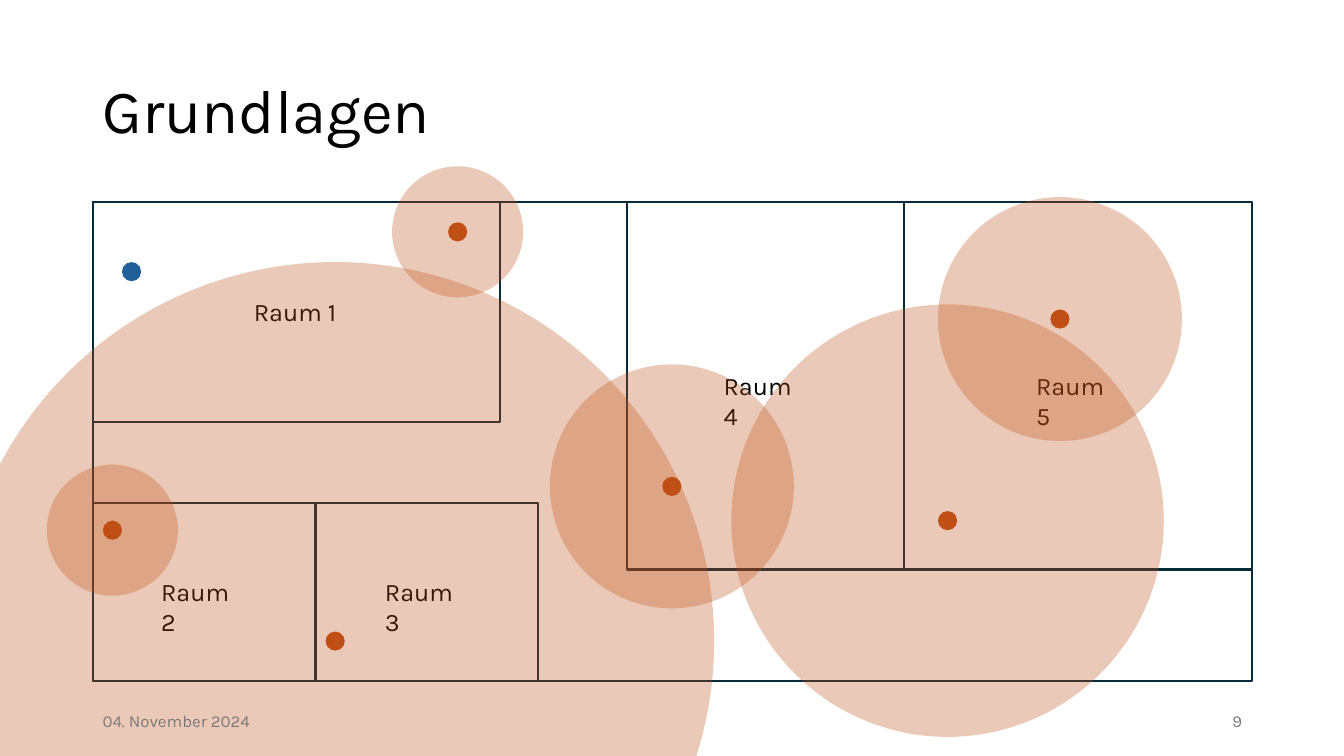
from dataclasses import dataclass, field
from typing import Any

import lxml.etree
import pptx
import pptx.dml.color
import pptx.enum.shapes
import pptx.enum.text
import pptx.oxml.ns
import pptx.util

COLS, ROWS = 133.33, 75
CELL = pptx.util.Inches(7.5) / ROWS
LEFT, TOP, RIGHT, BASE = 9.2, 20, 124.2, 67.6
INK, WALL, GREY = "000000", "092A39", "797979"
RUST, BLUE = "C04F15", "215F9A"
FONT = "Karla"
DOT = 0.95
KIND = pptx.enum.shapes.MSO_SHAPE
ALIGN = pptx.enum.text.PP_ALIGN
ANCHOR = pptx.enum.text.MSO_ANCHOR


@dataclass
class Room:
    """Edges of a room in grid columns and rows."""
    left: float
    top: float
    right: float
    base: float


@dataclass
class Label:
    text: str
    col: float
    row: float
    wide: float = 10.4
    high: float = 4
    size: float = 18
    tint: str = INK
    frame: dict[str, Any] = field(default_factory=dict)
    para: dict[str, Any] = field(default_factory=dict)


@dataclass
class Sender:
    """Centre and range of a sender."""
    col: float
    row: float
    reach: float


MID = {"vertical_anchor": ANCHOR.MIDDLE}
TITLE = Label("Grundlagen", LEFT, 4, 115, 14.5, 44, INK, MID, {"line_spacing": 0.9})
ROOMS = [
    Room(LEFT, TOP, RIGHT, BASE),
    Room(LEFT, TOP, 49.6, 41.9),
    Room(62.2, TOP, 89.7, 56.5),
    Room(89.7, TOP, RIGHT, 56.5),
    Room(LEFT, 49.9, 31.3, BASE),
    Room(31.3, 49.9, 53.4, BASE),
]
SPOTS = [(24.2, 28.9), (15, 56.7), (37.2, 56.7), (70.8, 36.2), (101.8, 36.2)]
LABELS = [Label(f"Raum {n}", col, row) for n, (col, row) in enumerate(SPOTS, 1)]
SENDERS = [
    Sender(94, 51.65, 21.45),
    Sender(66.65, 48.25, 12.1),
    Sender(45.4, 23, 6.5),
    Sender(33.25, 63.6, 37.6),
    Sender(11.15, 52.6, 6.5),
    Sender(105.15, 31.65, 12.1),
]
FOOTER = [
    Label("04. November 2024", LEFT, 69.5, 30, 4, 12, GREY, MID),
    Label("9", RIGHT - 30, 69.5, 30, 4, 12, GREY, MID, {"alignment": ALIGN.RIGHT}),
]


def grid(*cells: float) -> list[int]:
    return [round(cell * CELL) for cell in cells]


def shade(code: str) -> pptx.dml.color.RGBColor:
    return pptx.dml.color.RGBColor.from_string(code)


def apply(target: Any, values: dict[str, Any]) -> None:
    for name, value in values.items():
        setattr(target, name, value)


def write(shapes: Any, label: Label) -> None:
    box = shapes.add_textbox(*grid(label.col, label.row, label.wide, label.high))
    frame = box.text_frame
    apply(frame, {"word_wrap": True, **label.frame})
    para = frame.paragraphs[0]
    apply(para, label.para)
    run = para.add_run()
    run.text = label.text
    apply(run.font, {"name": FONT, "size": pptx.util.Pt(label.size)})
    run.font.color.rgb = shade(label.tint)


def build(shapes: Any, room: Room) -> None:
    box = shapes.add_shape(KIND.RECTANGLE, *grid(
        room.left, room.top, room.right - room.left, room.base - room.top))
    box.shadow.inherit = False
    box.fill.background()
    box.line.color.rgb = shade(WALL)
    box.line.width = pptx.util.Pt(1.5)


def disc(shapes: Any, col: float, row: float, reach: float,
         tint: str, alpha: int = 100) -> None:
    """Draw a filled circle around a centre; alpha is opacity in percent."""
    ring = shapes.add_shape(KIND.OVAL, *grid(
        col - reach, row - reach, 2 * reach, 2 * reach))
    ring.shadow.inherit = False
    ring.fill.solid()
    ring.fill.fore_color.rgb = shade(tint)
    ring.line.fill.background()
    if alpha < 100:
        qn = pptx.oxml.ns.qn
        paint = ring.element.spPr.find(f"{qn('a:solidFill')}/{qn('a:srgbClr')}")
        lxml.etree.SubElement(paint, qn("a:alpha"), val=str(alpha * 1000))


def main() -> None:
    deck = pptx.Presentation()
    wide, high = grid(COLS, ROWS)
    apply(deck, {"slide_width": wide, "slide_height": high})
    shapes = deck.slides.add_slide(deck.slide_layouts[6]).shapes
    write(shapes, TITLE)
    for room in ROOMS:
        build(shapes, room)
    for label in LABELS:
        write(shapes, label)
    for sender in SENDERS:
        group = shapes.add_group_shape().shapes
        disc(group, sender.col, sender.row, sender.reach, RUST, 30)
        disc(group, sender.col, sender.row, DOT, RUST)
    disc(shapes, 13.05, 26.95, DOT, BLUE)
    for label in FOOTER:
        write(shapes, label)
    deck.save("out.pptx")


if __name__ == "__main__":
    main()
